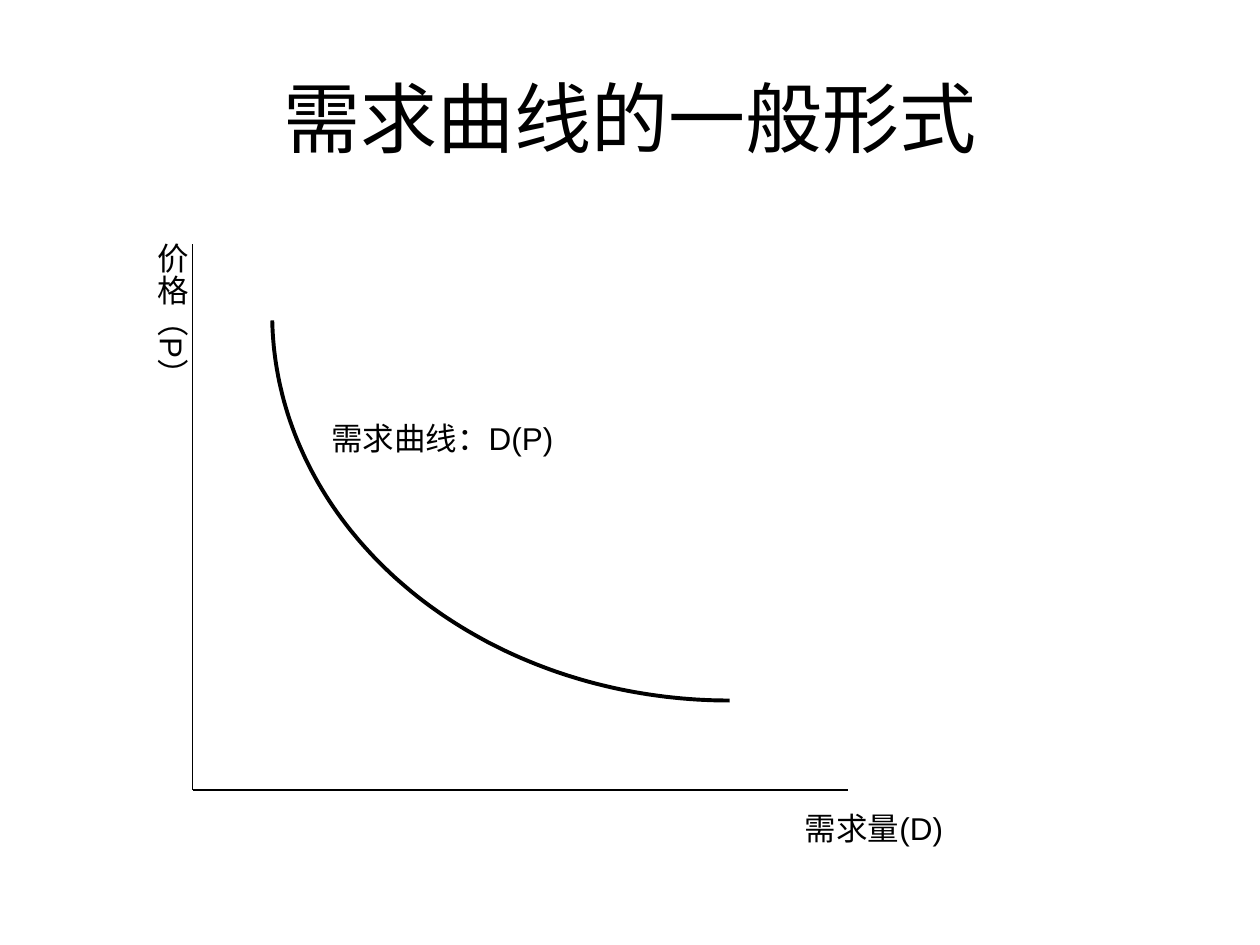
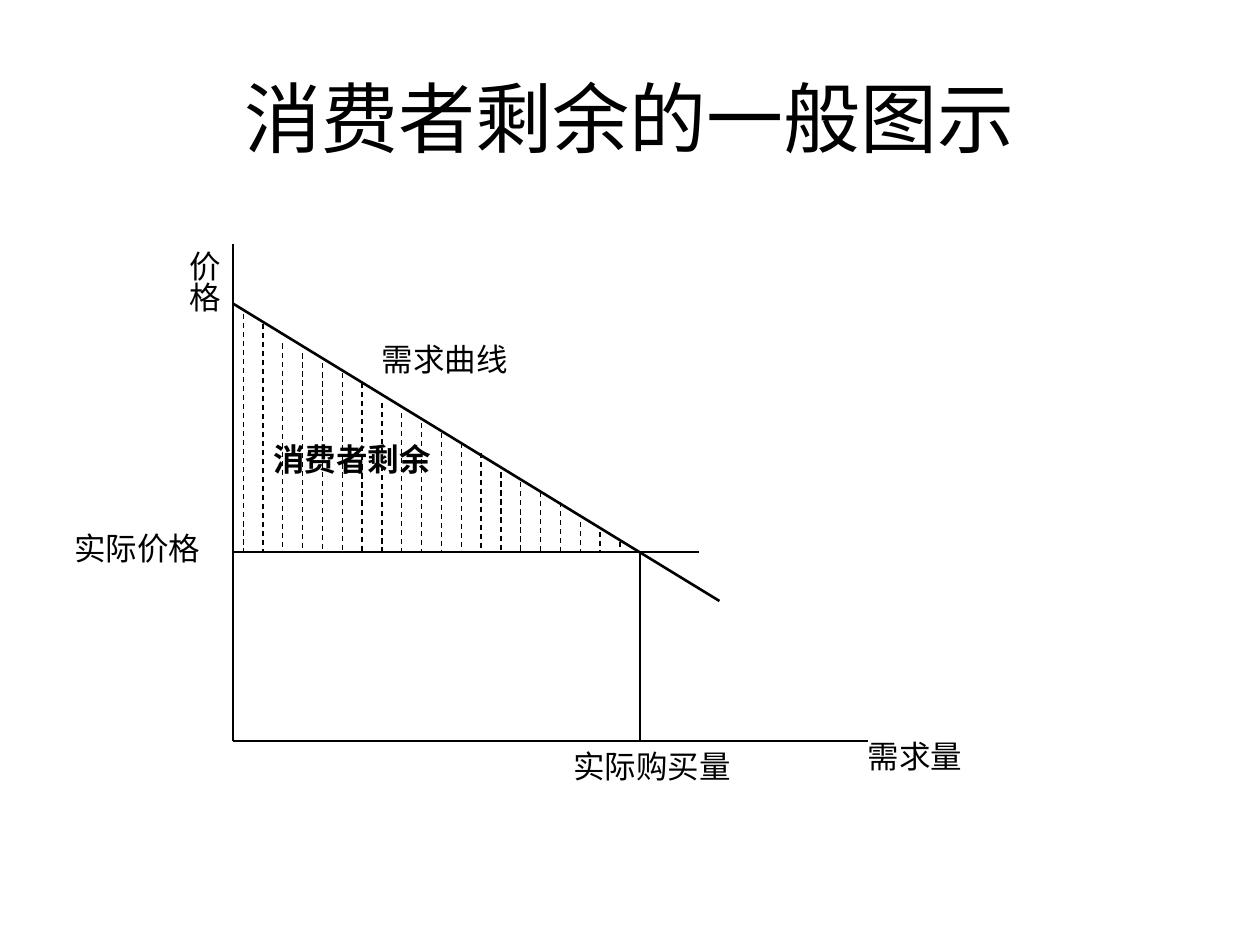
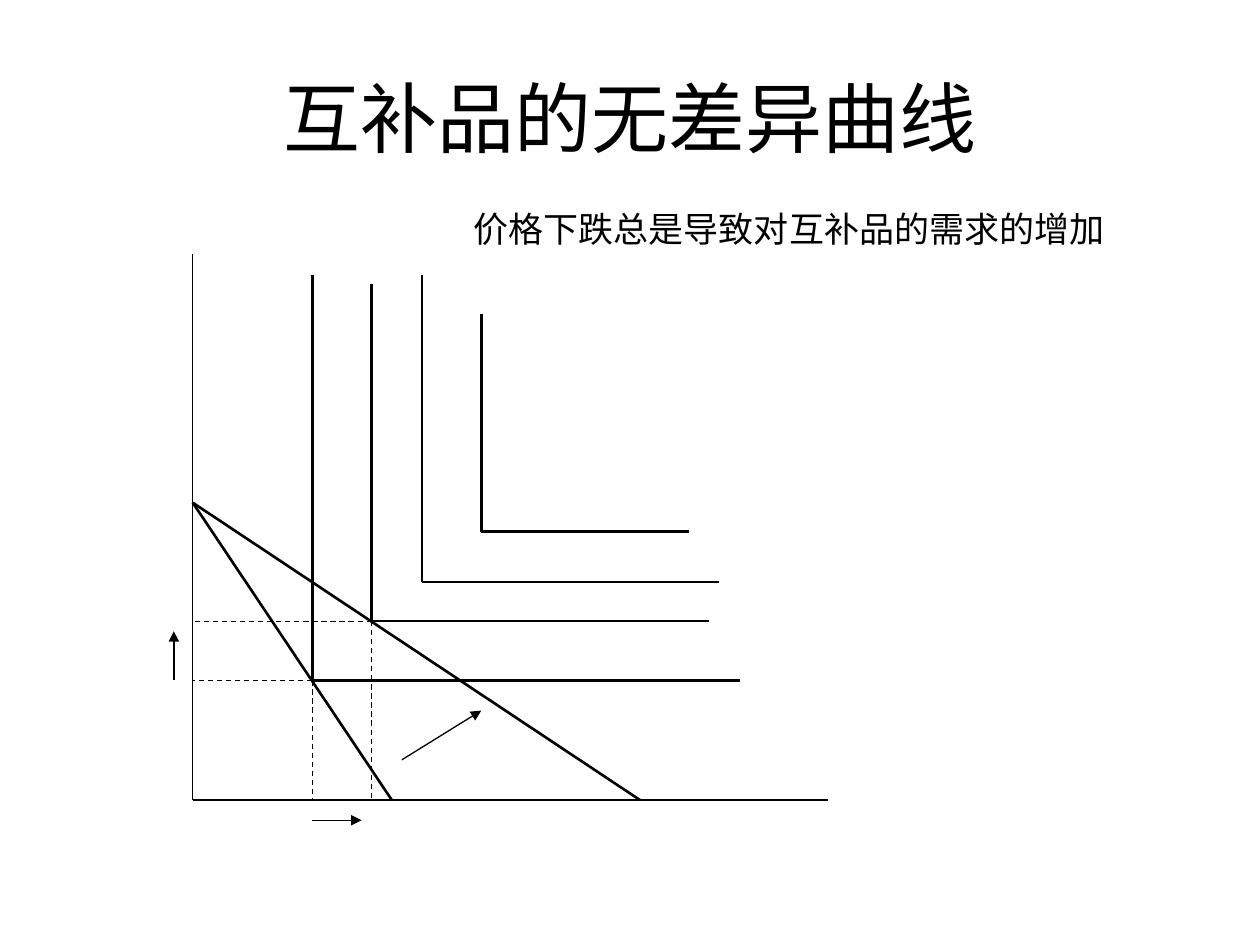
import dataclasses
import math

import pptx
import pptx.dml.color
import pptx.enum.dml
import pptx.enum.shapes
import pptx.enum.text
import pptx.oxml.ns
import pptx.util
from lxml import etree

Inches = pptx.util.Inches
Pt = pptx.util.Pt


@dataclasses.dataclass(frozen=True)
class Theme:
    ink: pptx.dml.color.RGBColor = pptx.dml.color.RGBColor(0, 0, 0)
    paper: pptx.dml.color.RGBColor = pptx.dml.color.RGBColor(255, 255, 255)
    font: str = "Arial"
    title_size: int = 44
    label_size: int = 18
    note_size: int = 20
    thin: float = 0.75
    medium: float = 1.5
    thick: float = 2.25


class DiagramDeck:
    def __init__(self, theme):
        self.theme = theme
        self.deck = pptx.Presentation()
        self.deck.slide_width = Inches(10)
        self.deck.slide_height = Inches(7.5)
        self.slide = None

    def format_text(self, frame, size, bold=False):
        for para in frame.paragraphs:
            for span in para.runs:
                span.font.name = self.theme.font
                span.font.size = Pt(size)
                span.font.bold = bold
                span.font.color.rgb = self.theme.ink

    def add_page(self, title):
        self.slide = self.deck.slides.add_slide(self.deck.slide_layouts[5])
        fill = self.slide.background.fill
        fill.solid()
        fill.fore_color.rgb = self.theme.paper
        box = self.slide.shapes.title
        box.left, box.top = Inches(0.5), Inches(0.3)
        box.width, box.height = Inches(9), Inches(1.25)
        frame = box.text_frame
        frame.text = title
        frame.auto_size = pptx.enum.text.MSO_AUTO_SIZE.NONE
        frame.vertical_anchor = pptx.enum.text.MSO_ANCHOR.MIDDLE
        frame.paragraphs[0].alignment = pptx.enum.text.PP_ALIGN.CENTER
        self.format_text(frame, self.theme.title_size)

    def add_label(self, text, left, top, width, height=0.4, size=None, bold=False, vertical=False):
        box = self.slide.shapes.add_textbox(
            Inches(left), Inches(top), Inches(width), Inches(height)
        )
        frame = box.text_frame
        frame.text = text
        frame.word_wrap = False
        frame.auto_size = pptx.enum.text.MSO_AUTO_SIZE.SHAPE_TO_FIT_TEXT
        side, end = (0.05, 0.1) if vertical else (0.1, 0.05)
        frame.margin_left = frame.margin_right = Inches(side)
        frame.margin_top = frame.margin_bottom = Inches(end)
        if vertical:
            box.element.txBody.bodyPr.set("vert", "eaVert")
        self.format_text(frame, size or self.theme.label_size, bold)

    def style_line(self, line, weight):
        line.color.rgb = self.theme.ink
        line.width = Pt(weight)

    def add_line(self, start, end, weight=None, dashed=False, arrow=False):
        connector = self.slide.shapes.add_connector(
            pptx.enum.shapes.MSO_CONNECTOR.STRAIGHT,
            *(Inches(value) for value in (*start, *end)),
        )
        self.style_line(connector.line, weight or self.theme.thin)
        if dashed:
            connector.line.dash_style = pptx.enum.dml.MSO_LINE.DASH
        properties = connector.element.spPr
        if arrow:
            outline = properties.find(pptx.oxml.ns.qn("a:ln"))
            etree.SubElement(outline, pptx.oxml.ns.qn("a:tailEnd"), type="triangle")
        etree.SubElement(properties, pptx.oxml.ns.qn("a:effectLst"))

    def add_path(self, corners, **style):
        for start, end in zip(corners, corners[1:]):
            self.add_line(start, end, **style)

    def add_curve(self, points, weight):
        pixels = [(Inches(x), Inches(y)) for x, y in points]
        builder = self.slide.shapes.build_freeform(*pixels[0])
        builder.add_line_segments(pixels[1:], close=False)
        curve = builder.convert_to_shape()
        curve.shadow.inherit = False
        curve.fill.background()
        self.style_line(curve.line, weight)


def build_demand_curve(diagram):
    diagram.add_page("需求曲线的一般形式")
    diagram.add_path([(1.53, 1.94), (1.53, 6.27), (6.73, 6.27)])
    center_x, center_y, radius_x, radius_y = 5.79, 2.49, 3.63, 3.07
    angles = [math.radians(degree) for degree in range(90, 180)]
    diagram.add_curve(
        [(center_x + radius_x * math.cos(a), center_y + radius_y * math.sin(a)) for a in angles],
        diagram.theme.thick,
    )
    diagram.add_label("需求量(D)", 6.29, 6.37, 1.35)
    diagram.add_label("价格（P）", 1.07, 1.83, 0.5, 1.39, vertical=True)
    diagram.add_label("需求曲线：D(P)", 2.53, 3.28, 2.02)


def build_consumer_surplus(diagram):
    origin_x, origin_y, price_y, quantity_x = 1.85, 5.88, 4.38, 5.08
    diagram.add_page("消费者剩余的一般图示")
    diagram.add_path([(origin_x, 1.94), (origin_x, origin_y), (6.89, origin_y)])
    diagram.add_line((origin_x, 2.41), (5.71, 4.77), weight=diagram.theme.medium)
    diagram.add_line((origin_x, price_y), (5.55, price_y))
    diagram.add_line((quantity_x, price_y), (quantity_x, origin_y))
    diagram.add_label("需求量", 6.79, 5.8, 0.95)
    diagram.add_label("价格", 1.32, 1.89, 0.5, 0.6, vertical=True)
    diagram.add_label("实际价格", 0.49, 4.15, 1.2)
    diagram.add_label("实际购买量", 4.45, 5.88, 1.45)
    diagram.add_label("消费者剩余", 2.07, 3.44, 1.45, bold=True)

    hatch_rows = [row for row in range(24) if row not in (2, 8, 15, 20)]
    hatch_gap = (4.92 - 1.93) / (len(hatch_rows) - 1)
    row_height = (4.3 - 2.49) / hatch_rows[-1]
    for column, row in enumerate(hatch_rows):
        x = 1.93 + column * hatch_gap
        diagram.add_line((x, 2.49 + row * row_height), (x, price_y), dashed=True)
    diagram.add_label("需求曲线", 2.93, 2.65, 1.2)


def build_complements(diagram):
    origin_x, origin_y = 1.53, 6.35
    medium = diagram.theme.medium
    diagram.add_page("互补品的无差异曲线")
    diagram.add_path([(origin_x, 2.02), (origin_x, origin_y), (6.57, origin_y)])
    indifference_curves = [
        (2.48, 5.4, 2.18, 5.87),
        (3.35, 4.62, 2.18, 5.71),
        (3.82, 4.22, 2.49, 5.47),
        (2.95, 4.93, 2.25, 5.63),
    ]
    for x, y, top, right in indifference_curves:
        diagram.add_path([(x, top), (x, y), (right, y)], weight=medium)
    for budget_end in (3.11, 5.08):
        diagram.add_line((origin_x, 3.99), (budget_end, origin_y), weight=medium)
    diagram.add_label(
        "价格下跌总是导致对互补品的需求的增加", 3.66, 1.6, 5.21, 0.44,
        size=diagram.theme.note_size,
    )
    for x, y in ((2.95, 4.93), (2.48, 5.4)):
        diagram.add_line((x, y), (origin_x, y), dashed=True)
        diagram.add_line((x, y), (x, origin_y), dashed=True)
    shifts = [
        ((1.38, 5.4), (1.38, 5.01)),
        ((2.48, 6.51), (2.87, 6.51)),
        ((3.19, 6.03), (3.82, 5.64)),
    ]
    for start, end in shifts:
        diagram.add_line(start, end, arrow=True)


def main():
    diagram = DiagramDeck(Theme())
    build_demand_curve(diagram)
    build_consumer_surplus(diagram)
    build_complements(diagram)
    diagram.deck.save("out.pptx")


if __name__ == "__main__":
    main()
